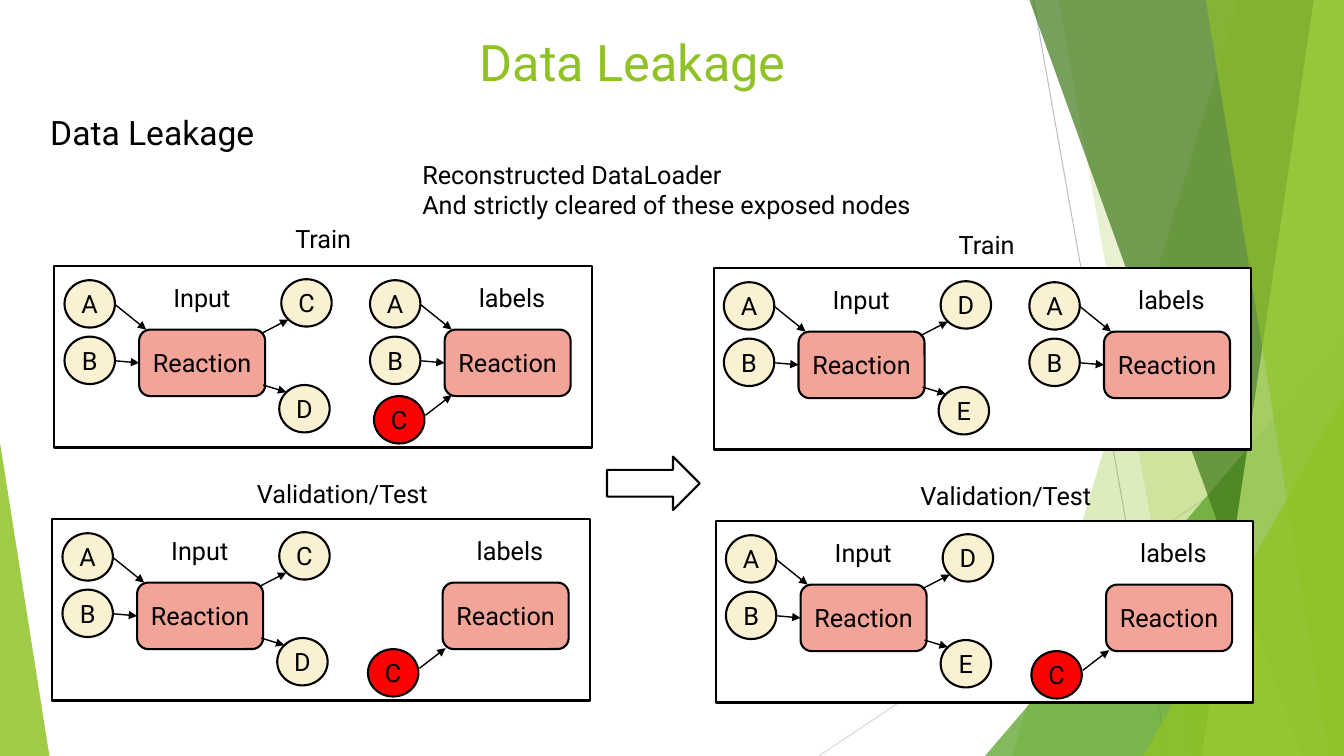
from pptx import Presentation
from pptx.dml.color import RGBColor
from pptx.enum.shapes import MSO_CONNECTOR as Link, MSO_SHAPE as Kind
from pptx.enum.text import MSO_ANCHOR as Anchor, PP_ALIGN as Align
from pptx.oxml.ns import qn
from pptx.util import Inches, Pt
from lxml.etree import SubElement

WIDE, HIGH = 13.33, 7.5
FONT = "Roboto"
GREEN, BLACK, WHITE = "90C226", "000000", "FFFFFF"
PINK, CREAM, RED = "F2A499", "FAF1D2", "FF0000"

RAYS = [((10.25, 0), (11.58, HIGH), "BFBFBF"),
        ((WIDE, 4.03), (8.12, HIGH), "D9D9D9")]
DECOR = [
    ("band", (12.28, 10.04), GREEN, 30),
    ("band", (10.5, 11.83), GREEN, 20),
    ("peak", (9.77, 3.33, 3.56, 1), "54A021", 72),
    ("band", (10.21, 12.91), "3F7819", 70),
    ("band", (13.03, 11.92), "C0E474", 70),
    ("band", (11.96, 13.18), GREEN, 65),
    ("peak", (11.34, 3.93, 1.99, 1), GREEN, 80),
    ("peak", (0, 4.39, 0.49, 0), GREEN, 85),
]
HEADS = [
    (["Data Leakage"], (4.66, 0.26, 6.85, 1.26), 36, GREEN),
    (["Data Leakage"], (0.4, 1.06, 2.23, 0.5), 24, BLACK),
    (["Reconstructed DataLoader",
      "And strictly cleared of these exposed nodes"],
     (4.09, 1.53, 5.16, 0.71), 18, BLACK),
]
TRAIN, TEST = ("Train", 1.32), ("Validation/Test", 2.18)
PANELS = [
    {"at": (0.54, 2.64), "name": TRAIN, "cap": (2.83, 2.17),
     "out": "CD", "known": "AB", "leak": 3.17},
    {"at": (0.52, 5.15), "name": TEST, "cap": (2.45, 4.7),
     "out": "CD", "known": "", "leak": 3.13},
    {"at": (7.08, 2.66), "name": TRAIN, "cap": (9.41, 2.23),
     "out": "DE", "known": "AB", "leak": None},
    {"at": (7.1, 5.17), "name": TEST, "cap": (9.03, 4.72),
     "out": "DE", "known": "", "leak": 3.13},
]
STEP = 3.03
IN_AT = [(0.1, 0.14), (0.1, 0.7)]
IN_LINE = [((0.6, 0.38), (0.91, 0.63)), ((0.61, 0.94), (0.84, 0.96))]
OUT_AT = [(2.25, 0.13), (2.23, 1.18)]
OUT_LINE = [((2.05, 0.67), (2.32, 0.53)), ((2.07, 1.18), (2.3, 1.25))]

deck = Presentation()
deck.slide_width, deck.slide_height = Inches(WIDE), Inches(HIGH)
shapes = deck.slides.add_slide(deck.slide_layouts[6]).shapes


def color(code):
    return RGBColor.from_string(code)


def write(frame, lines, size=18, ink=BLACK, align=Align.LEFT):
    for i, line in enumerate(lines):
        para = frame.add_paragraph() if i else frame.paragraphs[0]
        para.text, para.alignment = line, align
        para.font.name, para.font.size = FONT, Pt(size)
        para.font.color.rgb = color(ink)


def label(lines, box, size=18, ink=BLACK):
    frame = shapes.add_textbox(*map(Inches, box)).text_frame
    frame.word_wrap = True
    write(frame, lines, size, ink)


def block(kind, box, fill, text=""):
    item = shapes.add_shape(kind, *map(Inches, box))
    item.shadow.inherit = False
    item.fill.solid()
    item.fill.fore_color.rgb = color(fill)
    item.line.color.rgb, item.line.width = color(BLACK), Pt(1.5)
    if text:
        frame = item.text_frame
        frame.margin_left = frame.margin_right = 0
        frame.vertical_anchor = Anchor.MIDDLE
        write(frame, [text], align=Align.CENTER)
    return item


def link(start, end, ink=BLACK, width=1, head=True):
    line = shapes.add_connector(Link.STRAIGHT, *map(Inches, start + end))
    line.line.color.rgb, line.line.width = color(ink), Pt(width)
    if head:
        SubElement(line.line._get_or_add_ln(), qn("a:tailEnd"), type="triangle")
    SubElement(line._element.spPr, qn("a:effectLst"))
    return line


def facet(kind, dims, fill, alpha):
    if kind == "band":
        top, foot = dims
        pen = shapes.build_freeform(Inches(top), 0)
        pen.add_line_segments([(Inches(x), Inches(y)) for x, y in
                               ((WIDE, 0), (WIDE, HIGH), (foot, HIGH))])
        item = pen.convert_to_shape()
    else:
        x, y, w, tip = dims
        item = shapes.add_shape(Kind.ISOSCELES_TRIANGLE,
                                *map(Inches, (x, y, w, HIGH - y)))
        item.adjustments[0] = tip
    item.shadow.inherit = False
    item.fill.solid()
    item.fill.fore_color.rgb = color(fill)
    tone = item._element.spPr.find(qn("a:solidFill"))[0]
    SubElement(tone, qn("a:alpha"), val=str(alpha * 1000))
    item.line.fill.background()


def panel(at, name, cap, out, known, leak):
    def move(spot, dx=0):
        return at[0] + spot[0] + dx, at[1] + spot[1]

    def node(spot, text, fill=CREAM, dx=0):
        block(Kind.OVAL, move(spot, dx) + (0.5, 0.47), fill, text)

    block(Kind.RECTANGLE, at + (5.33, 1.8), WHITE)
    label([name[0]], cap + (name[1], 0.4))
    for dx, ins, title, left, wide in ((0, "AB", "Input", 1.08, 0.85),
                                       (STEP, known, "labels", 1.08, 1.01)):
        react = block(Kind.ROUNDED_RECTANGLE,
                      move((0.84, 0.63), dx) + (1.25, 0.66), PINK, "Reaction")
        label([title], move((left, 0.11), dx) + (wide, 0.4))
        for text, spot, (start, end) in zip(ins, IN_AT, IN_LINE):
            node(spot, text, dx=dx)
            line = link(move(start, dx), move(end, dx))
            if text == "B":
                line.end_connect(react, 1)
    for text, spot, (start, end) in zip(out, OUT_AT, OUT_LINE):
        node(spot, text)
        link(move(start), move(end))
    if leak:
        node((leak, 1.29), "C", RED)
        link(move((leak + 0.51, 1.48)), move((leak + 0.77, 1.28)))


def main():
    """Build the data leakage slide."""
    for start, end, ink in RAYS:
        link(start, end, ink, 0.75, False)
    for part in DECOR:
        facet(*part)
    for part in PANELS:
        panel(**part)
    for part in HEADS:
        label(*part)
    block(Kind.RIGHT_ARROW, (6.02, 4.53, 0.92, 0.53), WHITE)
    deck.save("out.pptx")


if __name__ == "__main__":
    main()
